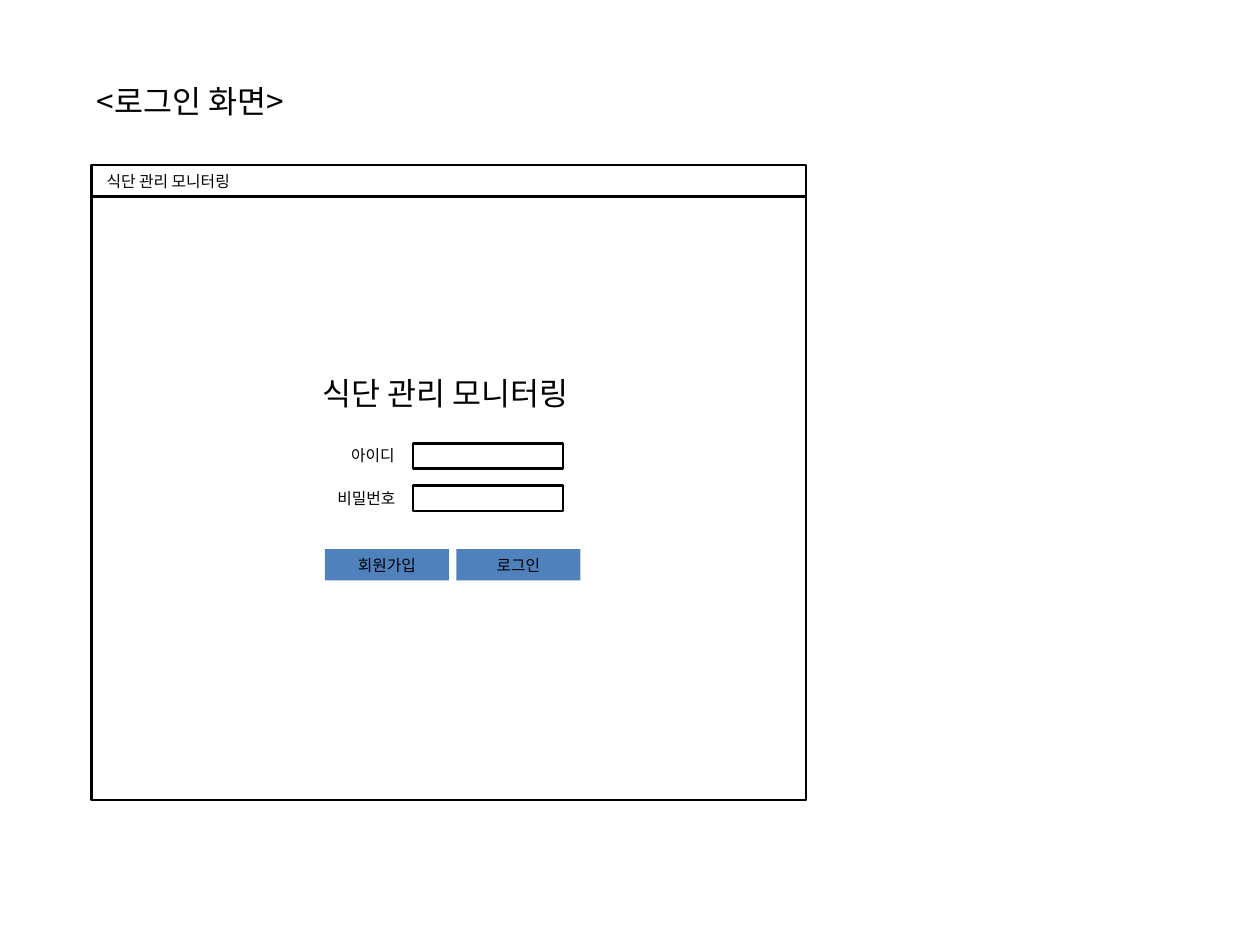
"""Build the login screen wireframe slide of a meal monitoring program."""
from lxml.etree import SubElement
from pptx import Presentation
from pptx.dml.color import RGBColor
from pptx.enum.shapes import MSO_CONNECTOR, MSO_SHAPE
from pptx.enum.text import MSO_ANCHOR, MSO_AUTO_SIZE, PP_ALIGN
from pptx.oxml.ns import qn
from pptx.util import Cm, Pt

TITLE = "<로그인 화면>"
PROGRAM = "식단 관리 모니터링"
FIELDS = [("아이디", 6.83, 1.6), ("비밀번호", 6.55, 2.0)]
BUTTONS = ["회원가입", "로그인"]

FONT = "Noto Sans CJK KR"
BLACK = RGBColor(0x00, 0x00, 0x00)
BLUE = RGBColor(0x4F, 0x81, 0xBD)
SMALL, LARGE = 9, 18

WINDOW_LEFT, WINDOW_TOP, WINDOW_WIDTH, WINDOW_HEIGHT = 1.85, 3.33, 14.4, 12.8
BAR_HEIGHT = 0.63
LABEL_TOP, INPUT_TOP, ROW_PITCH = 8.87, 8.94, 0.85
BUTTON_LEFT, BUTTON_TOP, BUTTON_WIDTH, BUTTON_PITCH = 6.55, 11.07, 2.5, 2.65


def write(shape, text, size, alignment=PP_ALIGN.LEFT, anchor=MSO_ANCHOR.TOP):
    frame = shape.text_frame
    frame.word_wrap = True
    frame.auto_size = MSO_AUTO_SIZE.SHAPE_TO_FIT_TEXT
    frame.vertical_anchor = anchor
    paragraph = frame.paragraphs[0]
    paragraph.alignment = alignment
    run = paragraph.add_run()
    run.text = text
    run.font.size = Pt(size)
    run.font.name = FONT
    run.font.color.rgb = BLACK
    SubElement(run.font._element, qn("a:ea")).set("typeface", FONT)


def add_text(slide, box, text, size, alignment=PP_ALIGN.LEFT):
    shape = slide.shapes.add_textbox(*map(Cm, box))
    write(shape, text, size, alignment)


def add_rectangle(slide, box, fill=None):
    shape = slide.shapes.add_shape(MSO_SHAPE.RECTANGLE, *map(Cm, box))
    shape.shadow.inherit = False
    if fill is None:
        shape.fill.background()
        shape.line.color.rgb = BLACK
        shape.line.width = Pt(1.5)
    else:
        shape.fill.solid()
        shape.fill.fore_color.rgb = fill
        shape.line.fill.background()
    return shape


def add_title(slide):
    title = slide.shapes.title
    title.left, title.top, title.width, title.height = map(Cm, (1.7, 1.52, 10, 1.02))
    write(title, TITLE, LARGE)


def add_window(slide):
    add_rectangle(slide, (WINDOW_LEFT, WINDOW_TOP, WINDOW_WIDTH, WINDOW_HEIGHT))
    bar_bottom = Cm(WINDOW_TOP + BAR_HEIGHT)
    divider = slide.shapes.add_connector(
        MSO_CONNECTOR.STRAIGHT,
        Cm(WINDOW_LEFT), bar_bottom, Cm(WINDOW_LEFT + WINDOW_WIDTH), bar_bottom)
    divider.line.color.rgb = BLACK
    divider.line.width = Pt(1.25)
    SubElement(divider._element.spPr, qn("a:effectLst"))
    add_text(slide, (1.9, WINDOW_TOP, 6.6, BAR_HEIGHT), PROGRAM, SMALL)


def add_login_form(slide):
    add_text(slide, (5.69, 7.42, 6.6, 1.02), PROGRAM, LARGE, PP_ALIGN.CENTER)
    for row, (label, left, width) in enumerate(FIELDS):
        offset = row * ROW_PITCH
        add_text(slide, (left, LABEL_TOP + offset, width, BAR_HEIGHT), label, SMALL)
        add_rectangle(slide, (8.33, INPUT_TOP + offset, 3.02, 0.51))
    for column, caption in enumerate(BUTTONS):
        left = BUTTON_LEFT + column * BUTTON_PITCH
        button = add_rectangle(slide, (left, BUTTON_TOP, BUTTON_WIDTH, BAR_HEIGHT), BLUE)
        write(button, caption, SMALL, PP_ALIGN.CENTER)


def main():
    presentation = Presentation()
    presentation.slide_width, presentation.slide_height = Cm(25.4), Cm(19.05)
    slide = presentation.slides.add_slide(presentation.slide_layouts[5])
    add_title(slide)
    add_window(slide)
    add_login_form(slide)
    presentation.save("out.pptx")


if __name__ == "__main__":
    main()
